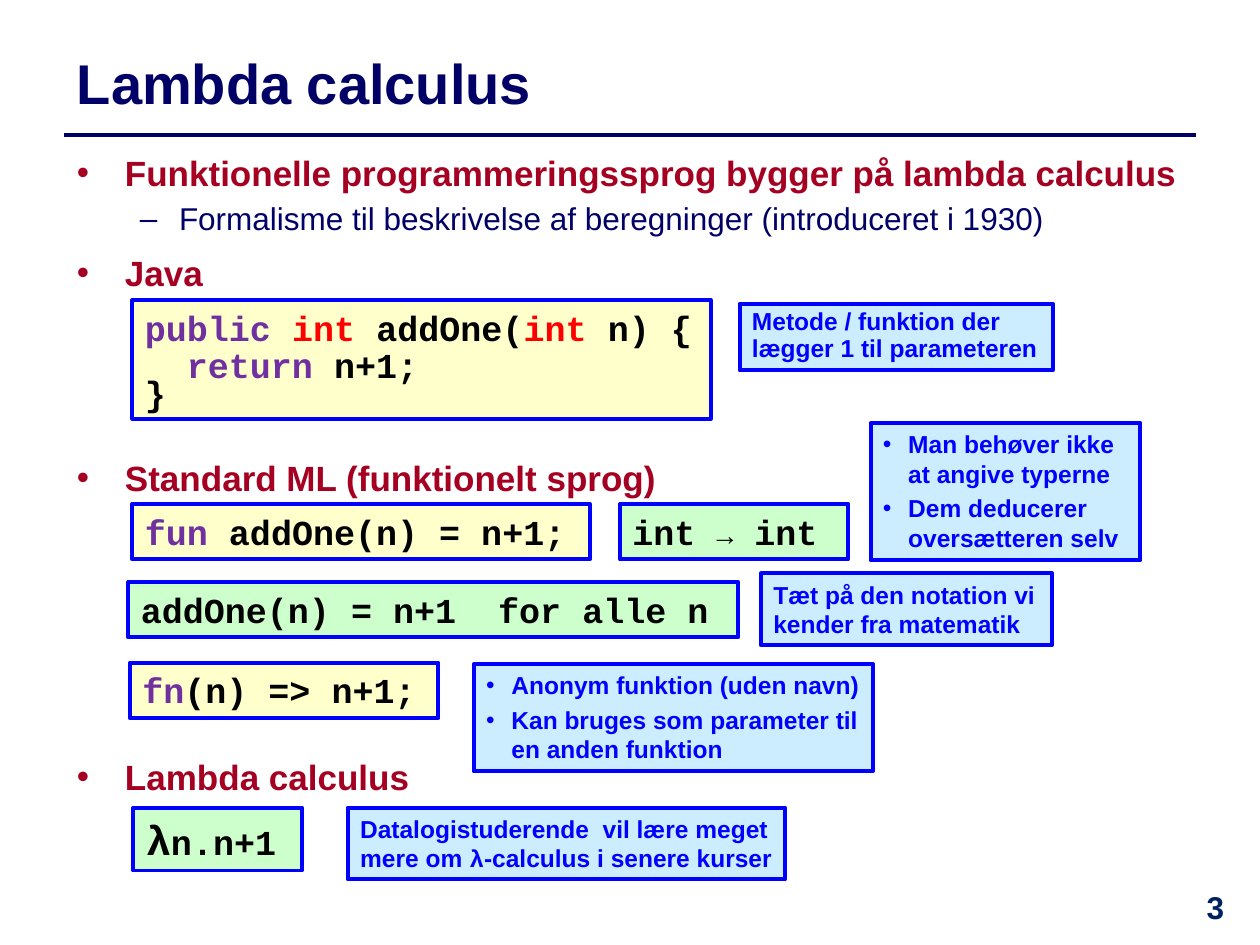
from lxml.etree import SubElement as Sub
from pptx import Presentation
from pptx.dml.color import RGBColor as RGB
from pptx.enum.shapes import MSO_CONNECTOR as Link, MSO_SHAPE as Kind
from pptx.enum.text import MSO_ANCHOR as Anchor, PP_ALIGN as Align
from pptx.oxml.ns import qn
from pptx.util import Cm, Pt

# Theme: colours, box fills, text styles (size, colour, font, bold)
SANS, MONO = "Arial", "Courier New"
NAVY, BLACK, BLUE = "000066", "000000", "0000FF"
THEME = {
    "edge": BLUE,
    "edge_w": 2.25,
    "rule": NAVY,
    "rule_w": 2,
    "fill": {"code": "FFFFCC", "type": "CCFFCC", "note": "CCECFF"},
    "text": {
        "title": (32, NAVY, SANS, True),
        "head": (20, "A50021", SANS, True),
        "sub": (18, NAVY, SANS, False),
        "page": (18, "002060", SANS, True),
        "code": (20, BLACK, MONO, True),
        "type": (20, BLACK, MONO, True),
        "note": (14, BLUE, SANS, True),
    },
    # What a run changes: size, colour, font
    "run": {
        "key": (None, "7030A0", None),
        "kind": (None, "FF0000", None),
        "arrow": (16, None, None),
        "big": (24, None, None),
        "mono": (None, None, MONO),
    },
}
# Bullets: sign, left margin, hanging indent (cm)
BULLET = {"head": ("•", 0.97, 0.97), "sub": ("–", 2.06, 0.79),
          "note": ("•", 0.51, 0.51)}

# Content: places are left, top, width, height in cm
RULE = (1.3, 2.72, 24.1, 2.72)
TITLE = ((1.3, 0.71, 22.81, 1.9), "Lambda calculus")
PAGE = ((23.6, 17.78, 1.8, 1.27), "3")
INTRO = ((1.3, 2.92, 23.39, 2.21), [
    ("head", "Funktionelle programmeringssprog bygger på lambda calculus"),
    ("sub", "Formalisme til beskrivelse af beregninger (introduceret i 1930)"),
])
HEADS = [
    ((1.3, 4.95, 10.13, 0.89), "Java"),
    ((1.3, 9.07, 13, 0.89), "Standard ML (funktionelt sprog)"),
    ((1.3, 15.11, 8.23, 0.89), "Lambda calculus"),
]
# Code boxes: style, place, lines of (line spacing, runs)
CODE = [
    ("code", (2.67, 6.05, 11.66, 2.39), [
        (None, [("public ", "key"), ("int ", "kind"), "addOne(",
                ("int ", "kind"), "n) {"]),
        (0.9, [("  return", "key"), " n+1;"]),
        (0.6, ["}"]),
    ]),
    ("code", (2.67, 10.16, 9.22, 1.12),
     [(None, [("fun ", "key"), "addOne(n) = n+1;"])]),
    ("type", (12.5, 10.16, 4.6, 1.12),
     [(None, ["int ", ("→", "arrow"), " int"])]),
    ("type", (2.59, 11.73, 12.29, 1.12),
     [(None, ["addOne(n) = n+1  for alle n"])]),
    ("code", (2.62, 13.36, 6.22, 1.12),
     [(None, [("fn", "key"), "(n) => n+1;"])]),
    ("type", (2.69, 16.28, 3.4, 1.27),
     [(None, [("λ", "big"), "n.n+1"])]),
]
# Notes: place, line spacing, runs
NOTES = [
    ((14.91, 6.12, 6.31, 1.35), 0.9,
     ["Metode / funktion der lægger 1 til parameteren"]),
    ((15.34, 11.56, 5.87, 1.45), None,
     ["Tæt på den notation vi kender fra matematik"]),
    ((7.01, 16.28, 8.82, 1.45), None,
     ["Datalogistuderende  vil lære meget mere om ", ("λ", "mono"),
      "-calculus i senere kurser"]),
]
# Notes with bullets: place, items
LISTS = [
    ((17.55, 8.53, 5.44, 2.77),
     ["Man behøver ikke at angive typerne",
      "Dem deducerer oversætteren selv"]),
    ((9.55, 13.39, 8.05, 2.16),
     ["Anonym funktion (uden navn)",
      "Kan bruges som parameter til en anden funktion"]),
]

deck = Presentation()
deck.slide_width, deck.slide_height = Cm(25.4), Cm(19.05)
slide = deck.slides.add_slide(deck.slide_layouts[6])
shapes = slide.shapes


def style(font, size, tint, face, bold=None):
    if size:
        font.size = Pt(size)
    if tint:
        font.color.rgb = RGB.from_string(tint)
    if face:
        font.name = face
    if bold is not None:
        font.bold = bold


def label(place):
    frame = shapes.add_textbox(*map(Cm, place)).text_frame
    frame.word_wrap = True
    return frame


def box(place, name):
    rect = shapes.add_shape(Kind.RECTANGLE, *map(Cm, place))
    rect.shadow.inherit = False
    rect.fill.solid()
    rect.fill.fore_color.rgb = RGB.from_string(THEME["fill"][name])
    rect.line.color.rgb = RGB.from_string(THEME["edge"])
    rect.line.width = Pt(THEME["edge_w"])
    frame = rect.text_frame
    frame.word_wrap = True
    frame.vertical_anchor = Anchor.TOP
    return frame


def write(frame, name, runs, first=True, gap=None, lead=None,
          dot=False, align=Align.LEFT):
    para = frame.paragraphs[0] if first else frame.add_paragraph()
    para.alignment = align
    if lead:
        para.line_spacing = lead
    if gap:
        para.space_before = Pt(gap)
    if dot:
        sign, left, hang = BULLET[name]
        props = para._p.get_or_add_pPr()
        props.set("marL", str(Cm(left)))
        props.set("indent", str(-Cm(hang)))
        Sub(props, qn("a:buFont"), typeface=SANS)
        Sub(props, qn("a:buChar"), char=sign)
    style(para.font, *THEME["text"][name])
    for part in runs:
        text, tweak = (part, None) if isinstance(part, str) else part
        run = para.add_run()
        run.text = text
        if tweak:
            style(run.font, *THEME["run"][tweak])


# Title, rule and page number
line = shapes.add_connector(Link.STRAIGHT, *map(Cm, RULE))
line.line.color.rgb = RGB.from_string(THEME["rule"])
line.line.width = Pt(THEME["rule_w"])
Sub(line._element.spPr, qn("a:effectLst"))
frame = label(TITLE[0])
frame.vertical_anchor = Anchor.MIDDLE
write(frame, "title", [TITLE[1]])
write(label(PAGE[0]), "page", [PAGE[1]], align=Align.CENTER)

# Opening points and section heads
frame = label(INTRO[0])
for i, (name, text) in enumerate(INTRO[1]):
    write(frame, name, [text], first=i == 0, gap=3.6 * i, dot=True)
for place, text in HEADS:
    write(label(place), "head", [text], dot=True)

# Code boxes
for name, place, rows in CODE:
    frame = box(place, name)
    for i, (lead, runs) in enumerate(rows):
        write(frame, name, runs, first=i == 0, lead=lead)

# Notes
for place, lead, runs in NOTES:
    write(box(place, "note"), "note", runs, lead=lead)
for place, items in LISTS:
    frame = box(place, "note")
    for i, text in enumerate(items):
        write(frame, "note", [text], first=i == 0, gap=3 * i, dot=True)

deck.save("out.pptx")
